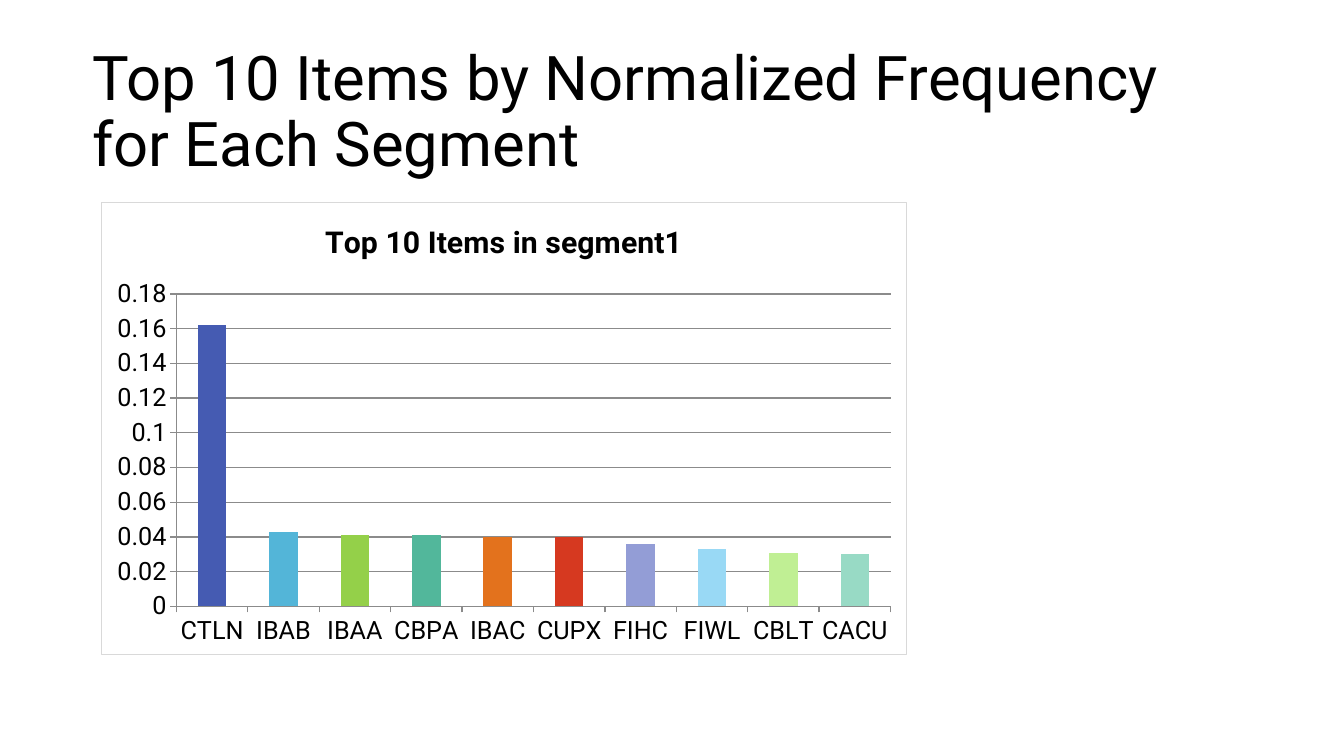
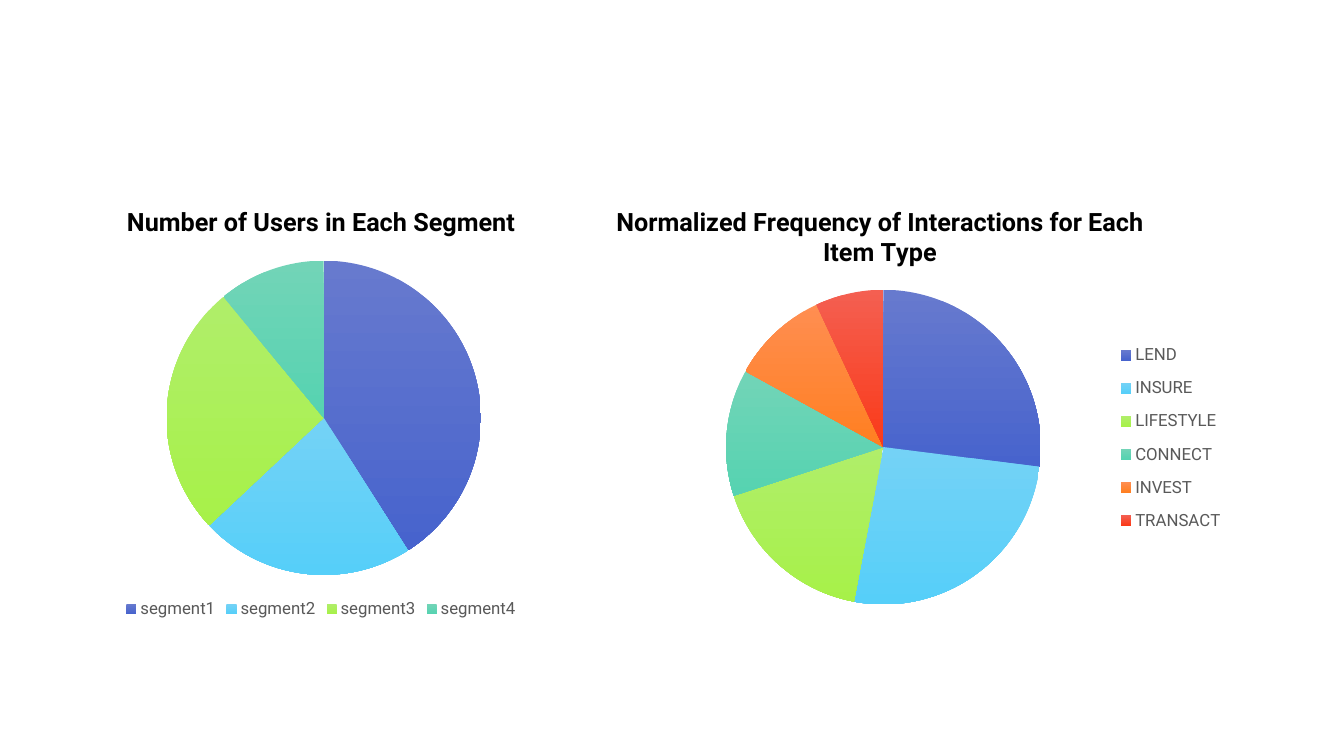
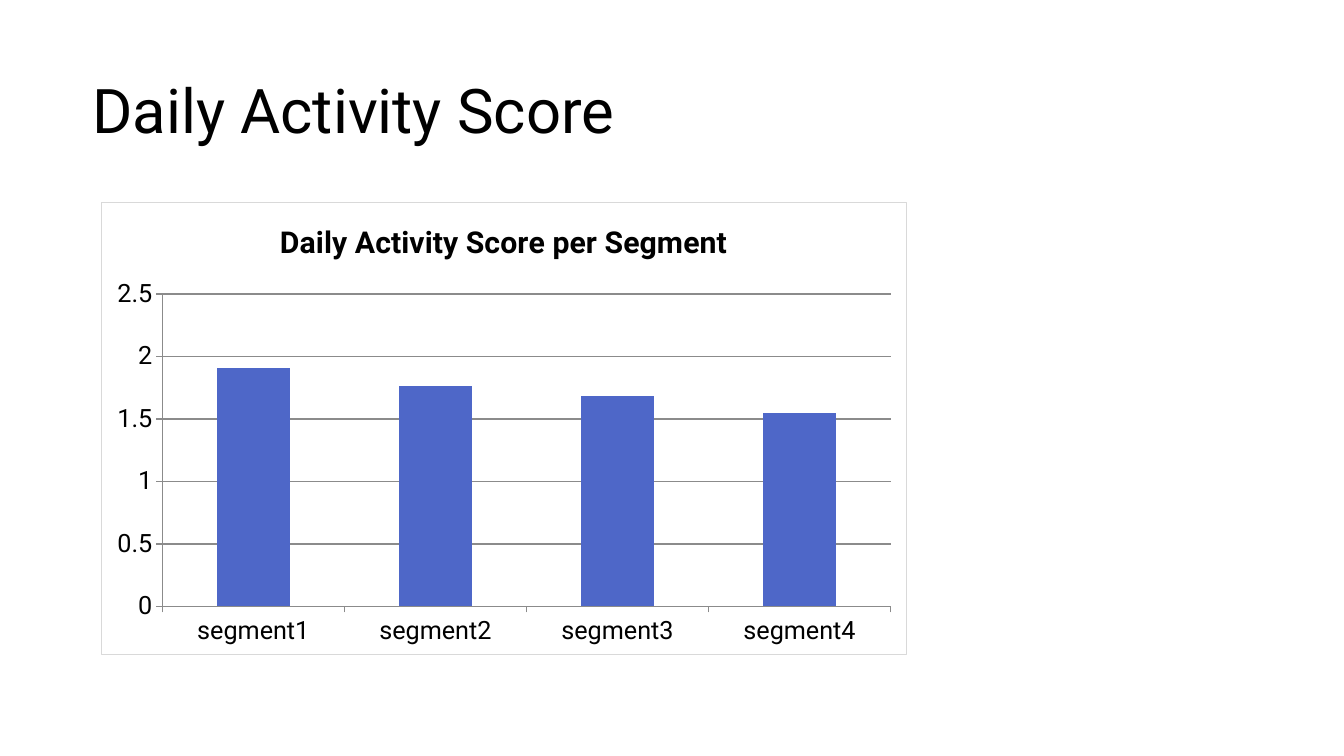
from dataclasses import dataclass

from lxml.etree import SubElement
from pptx import Presentation
from pptx.chart.data import CategoryChartData
from pptx.dml.color import RGBColor
from pptx.enum.chart import XL_CHART_TYPE as ChartType
from pptx.enum.chart import XL_LEGEND_POSITION as LegendPosition
from pptx.enum.chart import XL_TICK_MARK as TickMark
from pptx.enum.text import MSO_ANCHOR as Anchor
from pptx.oxml import parse_xml
from pptx.oxml.ns import nsdecls, qn
from pptx.util import Pt


@dataclass(frozen=True)
class Theme:
    font: str = "Roboto"
    text: RGBColor = RGBColor.from_string("000000")
    legend: RGBColor = RGBColor.from_string("595959")
    axis: RGBColor = RGBColor.from_string("8B8B8B")
    bar: RGBColor = RGBColor.from_string("4E67C8")
    border: str = "D9D9D9"
    bar_points: tuple = ("455BB2", "53B5D8", "94D049", "52B79B", "E3721D",
                         "D63920", "939DD6", "99D9F5", "C0EF94", "98DAC5")
    slices: tuple = (("677ACE", "4763CD"), ("74D2F6", "56CFF9"),
                     ("B0EE6A", "A7F149"), ("72D4B7", "56D3B1"),
                     ("FF8E51", "FF7F21"), ("F45F51", "FA3A19"))
    title_size: float = 44
    bar_title_size: float = 21.6
    pie_title_size: float = 18
    axis_size: float = 18
    legend_size: float = 12


THEME = Theme()


def add_titled_chart(slide, kind, box, heading, heading_size, values):
    data = CategoryChartData()
    data.categories = list(values)
    data.add_series("Series 1", list(values.values()))
    chart = slide.shapes.add_chart(kind, *map(Pt, box), data).chart
    chart.font.name = THEME.font
    chart.font.color.rgb = THEME.text
    chart.has_title = True
    run = chart.chart_title.text_frame.paragraphs[0].add_run()
    run.text = heading
    run.font.name = THEME.font
    run.font.size = Pt(heading_size)
    run.font.bold = True
    run.font.color.rgb = THEME.text
    return chart


def set_layout(parent, index, fractions, inner=False):
    """Place a chart part by x, y, w, h as fractions of the chart."""
    for old in parent.findall(qn("c:layout")):
        parent.remove(old)
    layout = parse_xml(f"<c:layout {nsdecls('c')}><c:manualLayout/></c:layout>")
    settings = [("layoutTarget", "inner")] if inner else []
    settings += [("xMode", "edge"), ("yMode", "edge"), *zip("xywh", fractions)]
    for tag, value in settings:
        SubElement(layout[0], qn(f"c:{tag}")).set("val", str(value))
    parent.insert(index, layout)


deck = Presentation()
deck.slide_width, deck.slide_height = Pt(960), Pt(540)
blank = deck.slide_layouts[6]
items_slide, shares_slide, activity_slide = [
    deck.slides.add_slide(blank) for _ in range(3)]

# Column chart slides
column_slides = [
    (items_slide, "Top 10 Items by Normalized Frequency for Each Segment",
     "Top 10 Items in segment1",
     {"CTLN": 0.162, "IBAB": 0.043, "IBAA": 0.041, "CBPA": 0.041,
      "IBAC": 0.04, "CUPX": 0.04, "FIHC": 0.036, "FIWL": 0.033,
      "CBLT": 0.031, "CACU": 0.03},
     0.18, 0.02, THEME.bar_points),
    (activity_slide, "Daily Activity Score", "Daily Activity Score per Segment",
     {"segment1": 1.91, "segment2": 1.76, "segment3": 1.68, "segment4": 1.55},
     2.5, 0.5, ()),
]
for slide, title, heading, values, top_value, step, point_colors in column_slides:
    frame = slide.shapes.add_textbox(Pt(66), Pt(28.8), Pt(828), Pt(104.4)).text_frame
    frame.word_wrap = True
    frame.vertical_anchor = Anchor.MIDDLE
    frame.margin_left = frame.margin_right = Pt(0)
    frame.margin_top = frame.margin_bottom = Pt(0)
    frame.paragraphs[0].line_spacing = 0.9
    run = frame.paragraphs[0].add_run()
    run.text = title
    run.font.name = THEME.font
    run.font.size = Pt(THEME.title_size)
    run.font.color.rgb = THEME.text

    chart = add_titled_chart(slide, ChartType.COLUMN_CLUSTERED, (72, 144, 576, 324),
                             heading, THEME.bar_title_size, values)
    chart.has_legend = False
    chart.element.find(qn("c:chart")).addnext(parse_xml(
        f"<c:spPr {nsdecls('c', 'a')}><a:noFill/><a:ln w='9525'><a:solidFill>"
        f"<a:srgbClr val='{THEME.border}'/></a:solidFill></a:ln></c:spPr>"))

    value_axis = chart.value_axis
    value_axis.minimum_scale, value_axis.maximum_scale = 0, top_value
    value_axis.major_unit = step
    value_axis.has_major_gridlines = True
    for axis in (chart.category_axis, value_axis):
        axis.major_tick_mark = TickMark.OUTSIDE
        axis.minor_tick_mark = TickMark.NONE
        axis.tick_labels.number_format = "General"
        axis.tick_labels.number_format_is_linked = False
        axis.tick_labels.font.name = THEME.font
        axis.tick_labels.font.size = Pt(THEME.axis_size)
        axis.tick_labels.font.color.rgb = THEME.text
    for line in (chart.category_axis.format.line, value_axis.format.line,
                 value_axis.major_gridlines.format.line):
        line.color.rgb = THEME.axis
        line.width = Pt(1)

    plot = chart.plots[0]
    plot.gap_width = 150
    plot.vary_by_categories = False
    series = plot.series[0]
    series.format.fill.solid()
    series.format.fill.fore_color.rgb = THEME.bar
    for index, color in enumerate(point_colors):
        fill = series.points[index].format.fill
        fill.solid()
        fill.fore_color.rgb = RGBColor.from_string(color)

# Pie chart slide
pies = [
    ("Number of Users in Each Segment", (38.9, 133.2, 380.9, 311.8),
     {"segment1": 41, "segment2": 22, "segment3": 26, "segment4": 11},
     (0.21, 0.17, 0.59, 0.72), LegendPosition.BOTTOM, None),
    ("Normalized Frequency of Interactions for Each Item Type",
     (375.1, 133.2, 506.9, 335.5),
     {"LEND": 27, "INSURE": 26, "LIFESTYLE": 17, "CONNECT": 13,
      "INVEST": 10, "TRANSACT": 7},
     (0.28, 0.22, 0.45, 0.67), LegendPosition.RIGHT, (0.83, 0.31, 0.16, 0.45)),
]
for heading, box, shares, pie_area, legend_side, legend_area in pies:
    chart = add_titled_chart(shares_slide, ChartType.PIE, box, heading,
                             THEME.pie_title_size, shares)
    set_layout(chart.element.find(f".//{qn('c:plotArea')}"), 0, pie_area, inner=True)
    chart.has_legend = True
    legend = chart.legend
    legend.position = legend_side
    legend.include_in_layout = False
    legend.font.name = THEME.font
    legend.font.size = Pt(THEME.legend_size)
    legend.font.color.rgb = THEME.legend
    if legend_area:
        set_layout(chart.element.find(f".//{qn('c:legend')}"), 1, legend_area)

    plot = chart.plots[0]
    plot.vary_by_categories = True
    for index, (_, shades) in enumerate(zip(shares, THEME.slices)):
        slice_format = plot.series[0].points[index].format
        slice_format.line.fill.background()
        slice_format.fill.gradient()
        slice_format.fill.gradient_angle = 270
        for stop, shade in zip(slice_format.fill.gradient_stops, shades):
            stop.color.rgb = RGBColor.from_string(shade)

deck.save("out.pptx")
